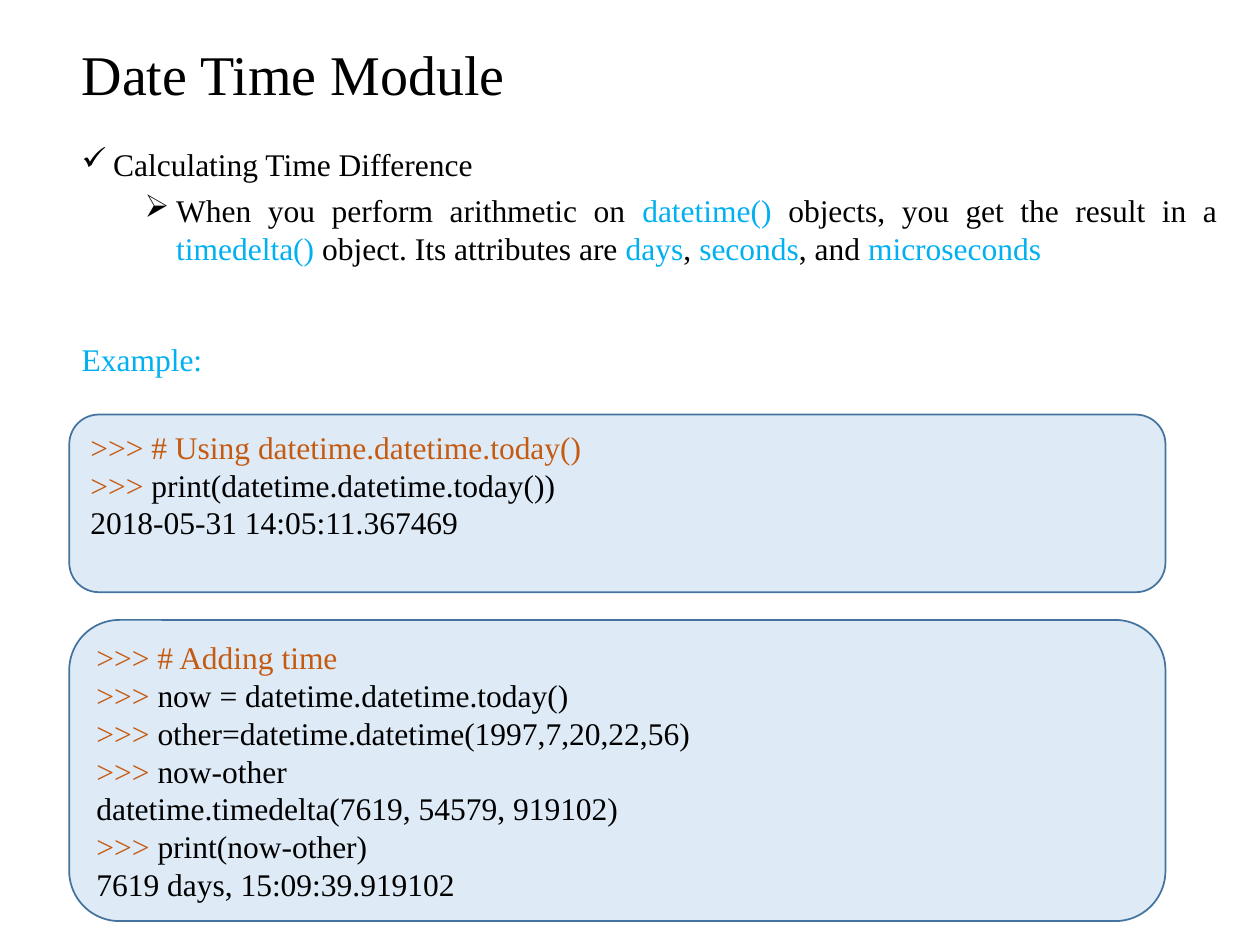
from pptx import Presentation
from pptx.dml.color import RGBColor
from pptx.enum import shapes, text
from pptx.oxml.ns import qn
from pptx.util import Inches, Pt

FONT = "Times New Roman"
COLORS = {"ink": "000000", "key": "00B0F0", "prompt": "C55A11",
          "panel": "DEEBF7", "border": "43739E"}

TITLE = "Date Time Module"
# Each line is a list of (text, colour) runs.
TOPIC = [("Calculating Time Difference", "ink")]
DETAIL = [
    ("When you perform arithmetic on ", "ink"), ("datetime() ", "key"),
    ("objects, you get the result in a ", "ink"), ("timedelta() ", "key"),
    ("object. Its attributes are ", "ink"), ("days", "key"), (", ", "ink"),
    ("seconds", "key"), (", and ", "ink"), ("microseconds", "key"),
]
EXAMPLE = [("Example:", "key")]

PROMPT = ">>> "
PANELS = [  # top, height, bottom inset, console lines
    (3.29, 1.41, 0.35, [
        ">>> # Using datetime.datetime.today()",
        ">>> print(datetime.datetime.today())",
        "2018-05-31 14:05:11.367469",
    ]),
    (4.92, 2.39, 0.05, [
        ">>> # Adding time",
        ">>> now = datetime.datetime.today()",
        ">>> other=datetime.datetime(1997,7,20,22,56)",
        ">>> now-other",
        "datetime.timedelta(7619, 54579, 919102)",
        ">>> print(now-other)",
        "7619 days, 15:09:39.919102",
    ]),
]
LEFT, PANEL_WIDTH = 0.55, 8.7


def rgb(name):
    return RGBColor.from_string(COLORS[name])


def add_line(tf, runs, size=18, before=0, spacing=None, bullet=None, indent=0,
             align=text.PP_ALIGN.LEFT):
    """Write one paragraph, reusing the empty one of a new text frame."""
    p = tf.paragraphs[0]
    if p.runs:
        p = tf.add_paragraph()
    p.alignment = align
    p.space_before = Pt(before)
    if spacing:
        p.line_spacing = spacing
    if bullet:
        pPr = p._p.get_or_add_pPr()
        pPr.set("marL", str(Inches(indent)))
        pPr.set("indent", str(-Inches(0.25)))
        mark = pPr.makeelement(qn("a:buChar"), {"char": bullet})
        pPr.append(mark)
    for words, color in runs:
        r = p.add_run()
        r.text = words
        r.font.name = FONT
        r.font.size = Pt(size)
        r.font.color.rgb = rgb(color)


def console_runs(line):
    if line.startswith(PROMPT + "#"):
        return [(line, "prompt")]
    if line.startswith(PROMPT):
        return [(PROMPT, "prompt"), (line[len(PROMPT):], "ink")]
    return [(line, "ink")]


def add_text_box(slide, top, width, height, anchor):
    box = slide.shapes.add_textbox(Inches(LEFT), Inches(top), Inches(width), Inches(height))
    tf = box.text_frame
    tf.word_wrap = True
    tf.vertical_anchor = anchor
    return tf


def add_panel(slide, top, height, bottom, lines):
    sp = slide.shapes.add_shape(shapes.MSO_SHAPE.ROUNDED_RECTANGLE, Inches(LEFT),
                                Inches(top), Inches(PANEL_WIDTH), Inches(height))
    sp.shadow.inherit = False
    sp.fill.solid()
    sp.fill.fore_color.rgb = rgb("panel")
    sp.line.color.rgb = rgb("border")
    sp.line.width = Pt(1)
    tf = sp.text_frame
    tf.word_wrap = True
    tf.vertical_anchor = text.MSO_ANCHOR.MIDDLE
    tf.margin_bottom = Inches(bottom)
    for line in lines:
        add_line(tf, console_runs(line))


def main():
    prs = Presentation()
    prs.slide_width, prs.slide_height = Inches(10), Inches(7.5)
    slide = prs.slides.add_slide(prs.slide_layouts[6])

    title = add_text_box(slide, 0.4, 8.07, 0.42, text.MSO_ANCHOR.MIDDLE)
    add_line(title, [(TITLE, "ink")], size=32, spacing=0.9)

    body = add_text_box(slide, 1.1, 9.21, 4.58, text.MSO_ANCHOR.TOP)
    add_line(body, TOPIC, bullet="✓", indent=0.25, align=text.PP_ALIGN.JUSTIFY)
    add_line(body, DETAIL, before=5, bullet="➢", indent=0.75, align=text.PP_ALIGN.JUSTIFY)
    add_line(body, EXAMPLE, before=42)

    for panel in PANELS:
        add_panel(slide, *panel)
    prs.save("out.pptx")


if __name__ == "__main__":
    main()
